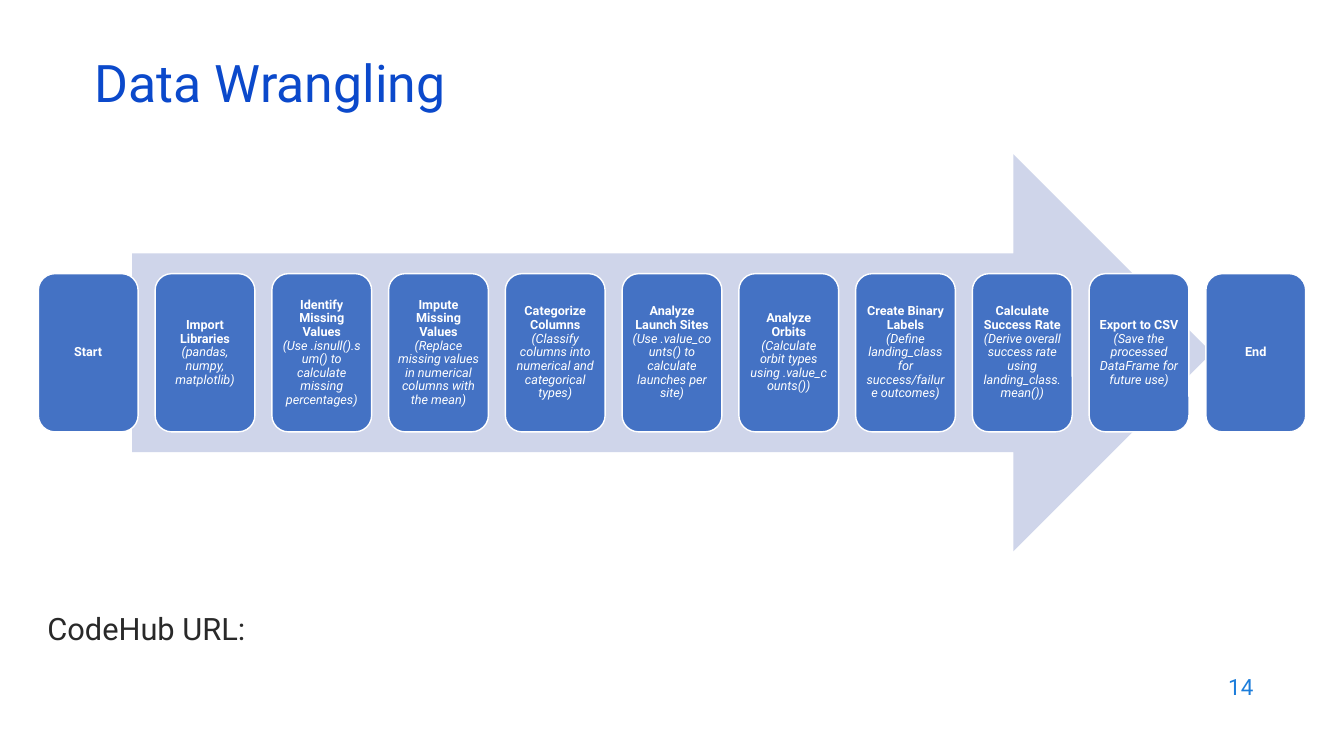
from pptx import Presentation
from pptx.dml.color import RGBColor
from pptx.enum.shapes import MSO_SHAPE as Shape
from pptx.enum.text import MSO_ANCHOR as Anchor, PP_ALIGN as Align, MSO_AUTO_SIZE as AutoSize
from pptx.oxml.ns import qn
from pptx.util import Inches, Pt

TITLE = "Data Wrangling"
LINK_LABEL = "CodeHub URL:"
PAGE_NUMBER = "14"
STEPS = [
    ("Start", ""),
    ("Import Libraries", "(pandas, numpy, matplotlib)"),
    ("Identify Missing Values", "(Use .isnull().sum() to calculate missing percentages)"),
    ("Impute Missing Values", "(Replace missing values in numerical columns with the mean)"),
    ("Categorize Columns", "(Classify columns into numerical and categorical types)"),
    ("Analyze Launch Sites", "(Use .value_counts() to calculate launches per site)"),
    ("Analyze Orbits", "(Calculate orbit types using .value_counts())"),
    ("Create Binary Labels", "(Define landing_class for success/failure outcomes)"),
    ("Calculate Success Rate", "(Derive overall success rate using landing_class.mean())"),
    ("Export to CSV", "(Save the processed DataFrame for future use)"),
    ("End", ""),
]

TITLE_BLUE = RGBColor(0x0B, 0x49, 0xCB)
NUMBER_BLUE = RGBColor(0x1C, 0x7D, 0xDB)
STEP_BLUE = RGBColor(0x44, 0x72, 0xC4)
ARROW_BLUE = RGBColor(0xCF, 0xD5, 0xEA)
DARK = RGBColor(0x29, 0x29, 0x29)
WHITE = RGBColor(0xFF, 0xFF, 0xFF)

WIDTH, HEIGHT = 13.33, 7.5
MARGIN = 0.38
MIDDLE = 3.5
STEP_WIDTH, STEP_HEIGHT = 0.99, 1.57
PITCH = (WIDTH - 2 * MARGIN - STEP_WIDTH) / (len(STEPS) - 1)
ARROW_WIDTH, ARROW_HEIGHT = 10.71, 3.94


def add_line(paragraph, text, size, color, align, spacing=1.0, **styles):
    run = paragraph.add_run()
    run.text = text
    font_format = {"name": "Roboto", "size": Pt(size), **styles}
    paragraph_format = {"alignment": align, "line_spacing": spacing,
                        "space_before": Pt(0), "space_after": Pt(0)}
    for target, values in ((run.font, font_format), (paragraph, paragraph_format)):
        for name, value in values.items():
            setattr(target, name, value)
    run.font.color.rgb = color


def place(shape, left, top, width, height, anchor):
    box = {"left": left, "top": top, "width": width, "height": height}
    for name, value in box.items():
        setattr(shape, name, Inches(value))
    frame = shape.text_frame
    frame.word_wrap = True
    frame.auto_size = AutoSize.NONE
    frame.vertical_anchor = anchor
    return frame.paragraphs[0]


def add_block(slide, kind, left, width, height, fill):
    shape = slide.shapes.add_shape(
        kind, Inches(left), Inches(MIDDLE - height / 2), Inches(width), Inches(height))
    shape.shadow.inherit = False
    shape.fill.solid()
    shape.fill.fore_color.rgb = fill
    shape.line.fill.background()
    return shape


def add_step(slide, index, name, detail):
    shape = add_block(slide, Shape.ROUNDED_RECTANGLE, MARGIN + index * PITCH,
                      STEP_WIDTH, STEP_HEIGHT, STEP_BLUE)
    shape.line.color.rgb = WHITE
    shape.line.width = Pt(1)
    frame = shape.text_frame
    frame.word_wrap = True
    frame.vertical_anchor = Anchor.MIDDLE
    for side in ("left", "top", "right", "bottom"):
        setattr(frame, f"margin_{side}", Inches(0.04))
    add_line(frame.paragraphs[0], name, 9, WHITE, Align.CENTER, 0.9, bold=True)
    if detail:
        add_line(frame.add_paragraph(), detail, 9, WHITE, Align.CENTER, 0.9, italic=True)


def main():
    presentation = Presentation()
    presentation.slide_width = Inches(WIDTH)
    presentation.slide_height = Inches(HEIGHT)
    slide = presentation.slides.add_slide(presentation.slide_layouts[1])
    title, body = slide.placeholders

    paragraph = place(title, 0.84, 0.59, 11.5, 0.6, Anchor.MIDDLE)
    add_line(paragraph, TITLE, 37, TITLE_BLUE, Align.LEFT, 0.7)

    paragraph = place(body, 0.37, 6, 12.6, 1.43, Anchor.TOP)
    properties = paragraph._p.get_or_add_pPr()
    properties.set("marL", "0")
    properties.set("indent", "0")
    properties.append(properties.makeelement(qn("a:buNone"), {}))
    add_line(paragraph, LINK_LABEL, 22, DARK, Align.LEFT)

    number = slide.shapes.add_textbox(0, 0, 0, 0)
    paragraph = place(number, 9.53, 6.59, 3, 0.44, Anchor.MIDDLE)
    add_line(paragraph, PAGE_NUMBER, 16, NUMBER_BLUE, Align.RIGHT)

    add_block(slide, Shape.RIGHT_ARROW, (WIDTH - ARROW_WIDTH) / 2,
              ARROW_WIDTH, ARROW_HEIGHT, ARROW_BLUE)
    for index, (name, detail) in enumerate(STEPS):
        add_step(slide, index, name, detail)

    presentation.save("out.pptx")


if __name__ == "__main__":
    main()
